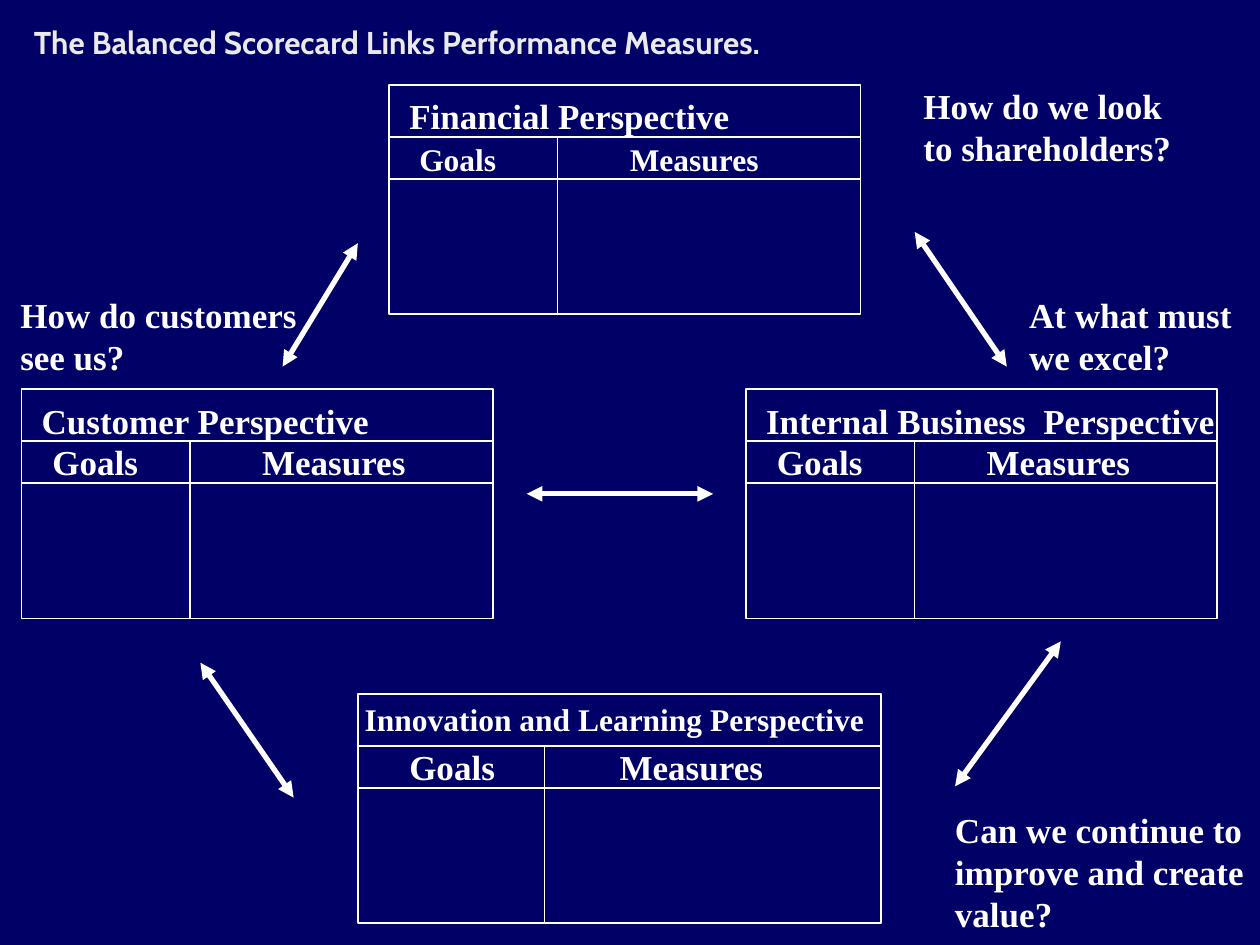
from lxml.etree import SubElement
from pptx import Presentation
from pptx.dml.color import RGBColor
from pptx.enum.shapes import MSO_CONNECTOR, MSO_SHAPE
from pptx.enum.text import MSO_ANCHOR, MSO_AUTO_SIZE, PP_ALIGN
from pptx.oxml.ns import qn
from pptx.util import Pt

BACKGROUND, WHITE, TITLE_GREY = "000066", "FFFFFF", "EAEAEA"
SERIF, SANS = "Times New Roman", "Cabin"
HEADER_H, LABELS_BOTTOM, CARD_H = 29.8, 53.7, 131


def rgb(value):
    """Turn a hex string into a colour."""
    return RGBColor.from_string(value)


def format_run(r, **values):
    """Apply a colour and a dict of font values to a run."""
    r.font.color.rgb = rgb(values.pop("color", WHITE))
    for name, value in values.items():
        setattr(r.font, name, value)


def add_title(s, text, box):
    """Fill the title placeholder and fit it to the box."""
    sp = s.shapes.title
    for name, value in zip(("left", "top", "width", "height"), box):
        setattr(sp, name, Pt(value))
    tf = sp.text_frame
    for name, value in dict(vertical_anchor=MSO_ANCHOR.MIDDLE, word_wrap=True,
                            auto_size=MSO_AUTO_SIZE.NONE).items():
        setattr(tf, name, value)
    p = tf.paragraphs[0]
    p.alignment = PP_ALIGN.LEFT
    r = p.add_run()
    r.text = text
    format_run(r, name=SANS, size=Pt(18), bold=True, color=TITLE_GREY)


def add_label(s, lines, left, top, width, size=20):
    """Add bold serif text with one paragraph for each line."""
    height = len(lines) * size * 1.2 + 7.2
    sp = s.shapes.add_textbox(Pt(left), Pt(top), Pt(width), Pt(height))
    tf = sp.text_frame
    tf.word_wrap = False
    tf.auto_size = MSO_AUTO_SIZE.SHAPE_TO_FIT_TEXT
    for i, line in enumerate(lines):
        p = tf.add_paragraph() if i else tf.paragraphs[0]
        r = p.add_run()
        r.text = line
        format_run(r, name=SERIF, size=Pt(size), bold=True)


def add_line(s, x1, y1, x2, y2, weight=1, arrows=False):
    """Add a straight white line, with arrowheads at both ends if asked."""
    sp = s.shapes.add_connector(MSO_CONNECTOR.STRAIGHT, Pt(x1), Pt(y1), Pt(x2), Pt(y2))
    sp.line.color.rgb = rgb(WHITE)
    sp.line.width = Pt(weight)
    if arrows:
        for end in ("a:headEnd", "a:tailEnd"):
            SubElement(sp.line._get_or_add_ln(), qn(end), type="triangle")
    SubElement(sp._element.spPr, qn("a:effectLst"))


def add_card(s, box, title, title_box, title_size, label_size, label_top, goals_x, measures_x):
    """Draw one perspective card with its heading and two columns."""
    left, top, width = box
    right, bottom = left + width, top + CARD_H
    sp = s.shapes.add_shape(MSO_SHAPE.RECTANGLE, Pt(left), Pt(top), Pt(width), Pt(CARD_H))
    sp.shadow.inherit = False
    sp.fill.background()
    sp.line.color.rgb = rgb(WHITE)
    sp.line.width = Pt(1)
    column_x = left + width * 0.357
    add_line(s, column_x, top + HEADER_H, column_x, bottom)
    for y in (HEADER_H, LABELS_BOTTOM):
        add_line(s, left, top + y, right, top + y)
    dx, dy, title_width = title_box
    add_label(s, [title], left + dx, top + dy, title_width, title_size)
    for text, x, ratio in (("Goals", goals_x, 3.35), ("Measures", measures_x, 4.98)):
        add_label(s, [text], left + x, top + label_top, label_size * ratio, label_size)


def add_cards(s):
    """Place the four perspective cards."""
    cards = [
        ((222.5, 48.4, 269.3), "Financial Perspective", (4.3, 2.2, 200), 20, 18, 28, 10, 130.3),
        ((12.4, 222.4, 269.3), "Customer Perspective", (4.3, 2.2, 204), 20, 20, 26, 10.5, 130.3),
        ((426.4, 222.4, 269.3), "Internal Business  Perspective", (4.3, 2.2, 274), 20, 20, 26, 10.5, 130.3),
        ((204.5, 396.6, 298.8), "Innovation and Learning Perspective", (-3.2, 0, 303), 18, 20, 26, 22.3, 142.5),
    ]
    for card in cards:
        add_card(s, *card)


def add_links(s):
    """Draw the double arrows between the cards."""
    for ends in (
        (204.5, 139, 161.5, 209.5),
        (522.7, 132.5, 575.3, 209.5),
        (114.5, 378.7, 167.8, 455.8),
        (606.2, 366.5, 545.8, 449.3),
        (301, 282.2, 407.5, 282.2),
    ):
        add_line(s, *ends, weight=3, arrows=True)


def add_questions(s):
    """Place the question that belongs to each card."""
    for lines, left, top, width in (
        (["How do customers", "see us?"], 4.5, 164.2, 179),
        (["How do we look", "to shareholders?"], 520.6, 44.6, 158),
        (["At what must", "we excel?"], 581, 164.2, 137),
        (["Can we continue to", "improve and create", "value?"], 538.6, 458.6, 181),
    ):
        add_label(s, lines, left, top, width)


def main():
    """Build and save the slide."""
    prs = Presentation()
    prs.slide_width, prs.slide_height = Pt(720), Pt(540)
    s = prs.slides.add_slide(prs.slide_layouts[5])
    s.background.fill.solid()
    s.background.fill.fore_color.rgb = rgb(BACKGROUND)
    add_title(s, "The Balanced Scorecard Links Performance Measures.", (12.2, 5.8, 504, 36))
    add_cards(s)
    add_links(s)
    add_questions(s)
    prs.save("out.pptx")


if __name__ == "__main__":
    main()
